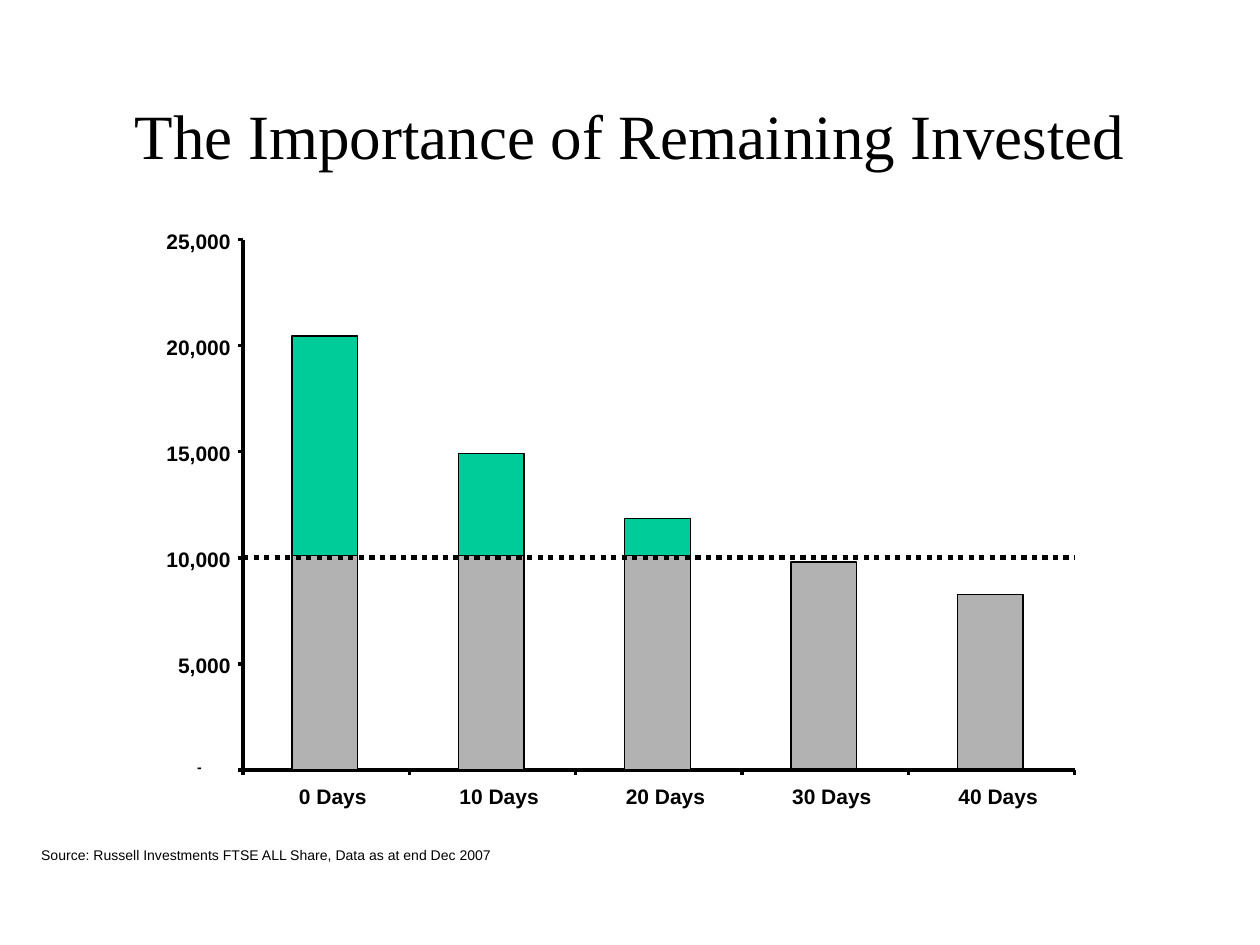
import pptx
import pptx.dml.color
import pptx.enum.dml
import pptx.enum.shapes
import pptx.enum.text
import pptx.oxml.ns
import pptx.util
from lxml import etree

Cm = pptx.util.Cm
Align = pptx.enum.text.PP_ALIGN
Anchor = pptx.enum.text.MSO_ANCHOR

TITLE = "The Importance of Remaining Invested"
SOURCE = "Source: Russell Investments FTSE ALL Share, Data as at end Dec 2007"
BARS = [
    ("0 Days", 20450),
    ("10 Days", 14900),
    ("20 Days", 11850),
    ("30 Days", 9800),
    ("40 Days", 8250),
]
TICK_VALUES = range(0, 25001, 5000)
INVESTED = 10000
BASE_VALUE = 10100

BLACK, GREEN, GREY = "000000", "00CC99", "B2B2B2"
AXIS_LEFT, AXIS_TOP, AXIS_BOTTOM = 4.9, 4.83, 15.52
CATEGORY_WIDTH = 3.353
AXIS_RIGHT = AXIS_LEFT + CATEGORY_WIDTH * len(BARS)
BAR_WIDTH, BAR_OFFSET = 1.32, 0.99
TICK = 0.11
LABEL_HEIGHT = 0.5


def color(hex_string):
    return pptx.dml.color.RGBColor.from_string(hex_string)


def value_y(value):
    return AXIS_BOTTOM - (AXIS_BOTTOM - AXIS_TOP) * value / TICK_VALUES[-1]


def category_x(index):
    return AXIS_LEFT + CATEGORY_WIDTH * index


def add_text(slide, text, left, top, width, height, size, font="Arial",
             bold=False, align=Align.LEFT, anchor=Anchor.TOP, margins=(0, 0), wrap=False):
    shape = slide.shapes.add_textbox(Cm(left), Cm(top), Cm(width), Cm(height))
    frame = shape.text_frame
    frame.word_wrap = wrap
    frame.vertical_anchor = anchor
    frame.margin_left = frame.margin_right = Cm(margins[0])
    frame.margin_top = frame.margin_bottom = Cm(margins[1])
    paragraph = frame.paragraphs[0]
    paragraph.alignment = align
    run = paragraph.add_run()
    run.text = text
    run.font.name = font
    run.font.size = pptx.util.Pt(size)
    run.font.bold = bold
    run.font.color.rgb = color(BLACK)


def add_bar(slide, index, value, fill):
    top = value_y(value)
    shape = slide.shapes.add_shape(
        pptx.enum.shapes.MSO_SHAPE.RECTANGLE,
        Cm(category_x(index) + BAR_OFFSET), Cm(top), Cm(BAR_WIDTH), Cm(AXIS_BOTTOM - top))
    shape.shadow.inherit = False
    shape.fill.solid()
    shape.fill.fore_color.rgb = color(fill)
    shape.line.color.rgb = color(BLACK)
    shape.line.width = pptx.util.Pt(0.75)


def add_line(slide, x1, y1, x2, y2, width=0, dash=None):
    connector = slide.shapes.add_connector(
        pptx.enum.shapes.MSO_CONNECTOR.STRAIGHT, Cm(x1), Cm(y1), Cm(x2), Cm(y2))
    connector.line.color.rgb = color(BLACK)
    connector.line.width = pptx.util.Pt(width)
    if dash is not None:
        connector.line.dash_style = dash
    etree.SubElement(connector._element.spPr, pptx.oxml.ns.qn("a:effectLst"))


def add_axes(slide):
    add_line(slide, AXIS_LEFT, AXIS_TOP, AXIS_LEFT, AXIS_BOTTOM)
    for value in TICK_VALUES:
        add_line(slide, AXIS_LEFT - TICK, value_y(value), AXIS_LEFT, value_y(value))
    add_line(slide, AXIS_LEFT, AXIS_BOTTOM, AXIS_RIGHT, AXIS_BOTTOM)
    for index in range(len(BARS) + 1):
        add_line(slide, category_x(index), AXIS_BOTTOM + TICK, category_x(index), AXIS_BOTTOM)


def add_labels(slide):
    for value in TICK_VALUES:
        text, right, size = (f"{value:,}", 4.65, 12) if value else ("-", 4.07, 8)
        add_text(slide, text, right - 1.3, value_y(value) - 0.23, 1.3, LABEL_HEIGHT,
                 size, bold=True, align=Align.RIGHT)
    for index, (name, value) in enumerate(BARS):
        add_text(slide, name, category_x(index) + 1.01, 15.8, 1.6, LABEL_HEIGHT,
                 12, bold=True, align=Align.CENTER)


def main():
    presentation = pptx.Presentation()
    presentation.slide_width = Cm(25.4)
    presentation.slide_height = Cm(19.05)
    slide = presentation.slides.add_slide(presentation.slide_layouts[6])

    add_text(slide, TITLE, 1.9, 1.12, 21.6, 3.18, 36, font="Times New Roman",
             align=Align.CENTER, anchor=Anchor.MIDDLE, margins=(0.25, 0.13), wrap=True)
    for index, (name, value) in enumerate(BARS):
        add_bar(slide, index, value, GREEN if value > INVESTED else GREY)
    add_axes(slide)
    add_labels(slide)
    add_text(slide, SOURCE, 0.58, 16.94, 9.63, 0.6, 8, margins=(0.25, 0.13))
    for index, (name, value) in enumerate(BARS):
        if value > INVESTED:
            add_bar(slide, index, BASE_VALUE, GREY)
    add_line(slide, AXIS_LEFT, value_y(INVESTED), AXIS_RIGHT, value_y(INVESTED),
             3, pptx.enum.dml.MSO_LINE.ROUND_DOT)

    presentation.save("out.pptx")


if __name__ == "__main__":
    main()
